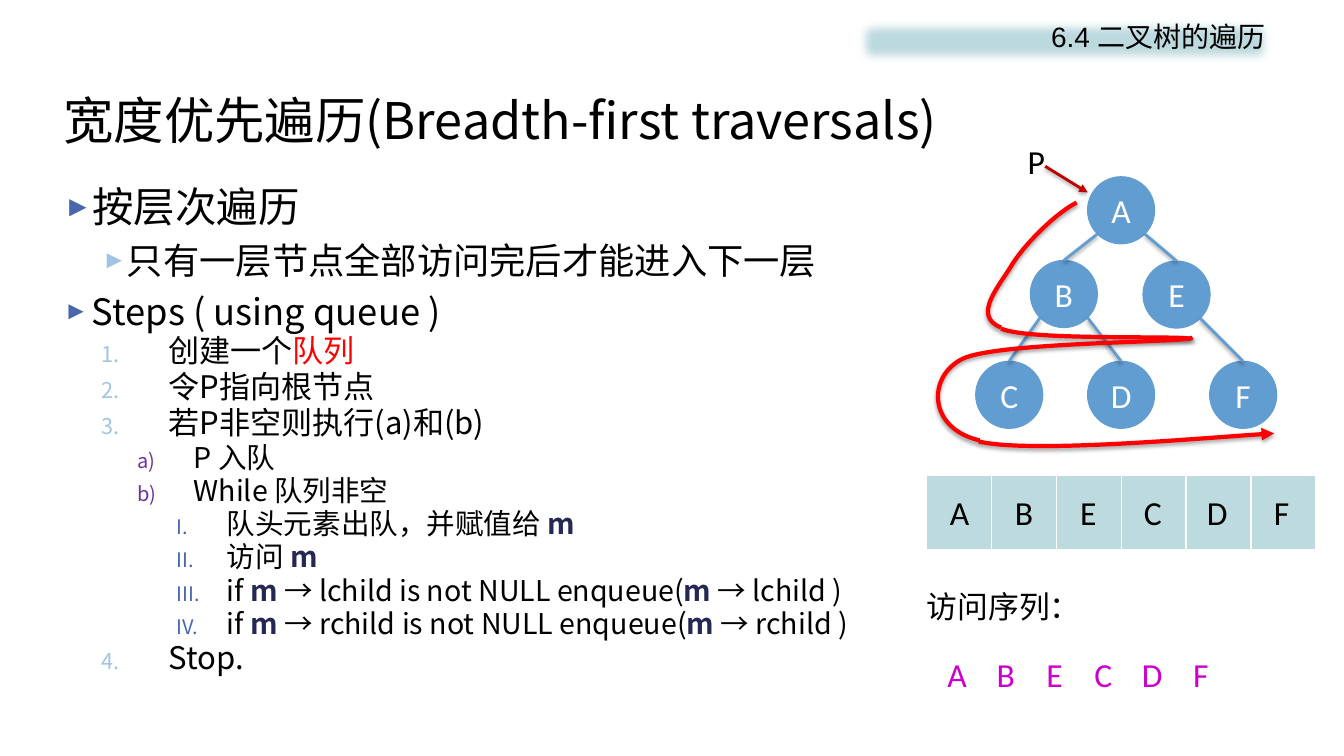
import pptx
import pptx.dml.color
import pptx.enum.shapes
import pptx.enum.text
import pptx.oxml
import pptx.oxml.ns
import pptx.util
from dataclasses import dataclass
from lxml import etree

Pt = pptx.util.Pt
qn = pptx.oxml.ns.qn
ALIGN = pptx.enum.text.PP_ALIGN
ANCHOR = pptx.enum.text.MSO_ANCHOR
OVAL = pptx.enum.shapes.MSO_SHAPE.OVAL
RECTANGLE = pptx.enum.shapes.MSO_SHAPE.RECTANGLE
STRAIGHT = pptx.enum.shapes.MSO_CONNECTOR.STRAIGHT


@dataclass(frozen=True)
class Theme:
    cjk: str = "Noto Sans CJK SC"
    latin: str = "Calibri"
    header_font: str = "Arial"
    ink: str = "000000"
    white: str = "FFFFFF"
    node: str = "629DD1"
    panel: str = "BDDADF"
    route: str = "FF0000"
    pointer: str = "C00000"
    visited: str = "CC00CC"
    variable: str = "242852"
    title_size: float = 36
    header_size: float = 20
    label_size: float = 24
    caption_size: float = 22


THEME = Theme()

# level, left margin, hanging, line spacing, size, bullet tag, bullet value, bullet colour
LEVELS = {
    "topic": (0, 20.2, 20.2, 1.0, 29.6, "buChar", "►", "4A66AC"),
    "heading": (0, 20.2, 20.2, 1.0, 25.9, "buChar", "►", "4A66AC"),
    "detail": (1, 43.9, 16.6, 1.0, 25.9, "buChar", "►", "A1C4E3"),
    "step": (1, 74.9, 48.2, 0.8, 22.2, "buAutoNum", "arabicPeriod", "A1C4E3"),
    "substep": (2, 92.9, 40.3, 0.8, 20.4, "buAutoNum", "alphaLcParenR", "7030A0"),
    "action": (3, 116.6, 36, 0.8, 20.4, "buAutoNum", "romanUcPeriod", "4A66AC"),
}
M = ("m", {"color": THEME.variable, "bold": True})
OUTLINE = [
    ("topic", ["按层次遍历"]),
    ("detail", ["只有一层节点全部访问完后才能进入下一层"]),
    ("heading", ["Steps ( using queue )"]),
    ("step", ["创建一个", ("队列", {"color": THEME.route})]),
    ("step", ["令P指向根节点"]),
    ("step", ["若P非空则执行(a)和(b)"]),
    ("substep", ["P 入队"]),
    ("substep", ["While 队列非空"]),
    ("action", ["队头元素出队，并赋值给 ", M]),
    ("action", ["访问 ", M]),
    ("action", ["if ", M, " → lchild is not NULL enqueue(", M, " → lchild )"]),
    ("action", ["if ", M, " → rchild is not NULL enqueue(", M, " → rchild )"]),
    ("step", ["Stop."]),
]

DIAMETER = 48
NODES = {"A": (800.8, 150.2), "F": (888, 282), "E": (840.4, 210.4),
         "D": (800.8, 282), "C": (720.9, 282), "B": (759.9, 210)}
EDGES = ["AB", "BC", "BD", "AE", "EF"]
VISIT_ORDER = "ABECDF"
# each stroke: start point, then two controls and an end for every cubic segment
ROUTE = [
    [(769, 144.7), (753.8, 152.6), (733, 173.5), (723.6, 187.9),
     (715, 203), (693.4, 225.4), (715, 234)],
    [(715, 234.7), (735.8, 244.1), (856.1, 239), (851, 242.6)],
    [(851.8, 241.2), (847.4, 244.8), (712.8, 244.1), (687.6, 256.3),
     (662.4, 268.6), (662.4, 306), (699.8, 314.6)],
    [(699.1, 315.4), (735.8, 324), (871.2, 311.8), (910.1, 309.6)],
]


def rgb(value):
    return pptx.dml.color.RGBColor.from_string(value)


def apply(target, values):
    for name, value in values.items():
        setattr(target, name, value)


def add_run(paragraph, text, size, face, color=THEME.ink, bold=False):
    run = paragraph.add_run()
    run.text = text
    apply(run.font, {"size": Pt(size), "name": face, "bold": bold})
    run.font.color.rgb = rgb(color)
    east_asian = THEME.latin if face == THEME.latin else THEME.cjk
    latin = run._r.rPr.find(qn("a:latin"))
    latin.addnext(latin.makeelement(qn("a:ea"), {"typeface": east_asian}))


def write(shape, text, size, face, color=THEME.ink, align=ALIGN.CENTER, **frame):
    apply(shape.text_frame, {"word_wrap": True, **frame})
    paragraph = shape.text_frame.paragraphs[0]
    paragraph.alignment = align
    add_run(paragraph, text, size, face, color)


def add_label(slide, text, box, size=THEME.label_size, face=THEME.latin, **options):
    label = slide.shapes.add_textbox(*map(Pt, box))
    write(label, text, size, face, **options)


def add_effect(shape, effect_xml=""):
    """Replace theme effects; call after fill and line are set."""
    namespace = pptx.oxml.ns.nsdecls("a")
    shape._element.spPr.append(pptx.oxml.parse_xml(
        f"<a:effectLst {namespace}>{effect_xml}</a:effectLst>"))


def style_stroke(stroke, color, width, arrow=False):
    stroke.line.color.rgb = rgb(color)
    stroke.line.width = Pt(width)
    if arrow:
        etree.SubElement(stroke.line._get_or_add_ln(), qn("a:tailEnd"), type="triangle")
    add_effect(stroke, f'<a:outerShdw blurRad="{Pt(3.1)}" dist="{Pt(1.6)}" dir="5400000" '
                       'rotWithShape="0"><a:srgbClr val="000000"><a:alpha val="38000"/>'
                       '</a:srgbClr></a:outerShdw>')


def add_line(slide, start, end, color, arrow=False):
    line = slide.shapes.add_connector(STRAIGHT, *map(Pt, (*start, *end)))
    style_stroke(line, color, 2, arrow)


def add_header(slide):
    header = slide.shapes.add_shape(RECTANGLE, Pt(609.1), Pt(10.1), Pt(302.4), Pt(38.9))
    header.fill.solid()
    header.fill.fore_color.rgb = rgb(THEME.panel)
    header.line.fill.background()
    add_effect(header, f'<a:softEdge rad="{Pt(8)}"/>')
    write(header, "6.4 二叉树的遍历", THEME.header_size, THEME.header_font,
          align=ALIGN.RIGHT, vertical_anchor=ANCHOR.TOP)


def add_outline(slide):
    frame = slide.shapes.add_textbox(Pt(38.4), Pt(126), Pt(619.2), Pt(383)).text_frame
    frame.word_wrap = True
    for index, (kind, runs) in enumerate(OUTLINE):
        level, margin, hanging, spacing, size, tag, mark, color = LEVELS[kind]
        paragraph = frame.add_paragraph() if index else frame.paragraphs[0]
        apply(paragraph, {"level": level, "line_spacing": spacing,
                          "space_before": Pt(size * 0.2 if index else 0)})
        properties = paragraph._p.get_or_add_pPr()
        properties.set("marL", str(Pt(margin)))
        properties.set("indent", str(-Pt(hanging)))
        bullet_color = etree.SubElement(properties, qn("a:buClr"))
        etree.SubElement(bullet_color, qn("a:srgbClr"), val=color)
        etree.SubElement(properties, qn("a:buSzPct"), val="70000")
        etree.SubElement(properties, qn("a:buFont"), typeface=THEME.header_font)
        key = "char" if tag == "buChar" else "type"
        etree.SubElement(properties, qn(f"a:{tag}"), {key: mark})
        for run in runs:
            text, emphasis = (run, {}) if isinstance(run, str) else run
            add_run(paragraph, text, size, THEME.cjk, **emphasis)


def add_tree(slide):
    radius = DIAMETER / 2
    for letter, (x, y) in NODES.items():
        node = slide.shapes.add_shape(OVAL, *map(Pt, (x - radius, y - radius, DIAMETER, DIAMETER)))
        node.fill.solid()
        node.fill.fore_color.rgb = rgb(THEME.node)
        node.line.color.rgb = rgb(THEME.node)
        node.line.width = Pt(0.75)
        add_effect(node)
        write(node, letter, THEME.label_size, THEME.latin, THEME.white,
              word_wrap=False, vertical_anchor=ANCHOR.MIDDLE)
    for parent, child in EDGES:
        (x, y), (child_x, child_y) = NODES[parent], NODES[child]
        reach = radius * 0.71
        side = reach if child_x > x else -reach
        add_line(slide, (x + side, y + reach), (child_x, child_y - radius), THEME.node)
    add_line(slide, (746.6, 118.8), (776.9, 137.5), THEME.pointer, arrow=True)
    add_label(slide, "P", (726.5, 97.2, 27.4, 36), word_wrap=False,
              vertical_anchor=ANCHOR.MIDDLE)


def add_curve(slide, points):
    """Draw an open outline whose points after the first come in cubic triples."""
    start, *rest = [tuple(map(Pt, point)) for point in points]
    builder = slide.shapes.build_freeform(*start)
    builder.add_line_segments(rest, close=False)
    curve = builder.convert_to_shape()
    outline = curve._element.spPr.find(".//" + qn("a:path"))
    segments = outline.findall(qn("a:lnTo"))
    for first in range(0, len(segments), 3):
        cubic = etree.SubElement(outline, qn("a:cubicBezTo"))
        for segment in segments[first:first + 3]:
            cubic.append(segment[0])
            outline.remove(segment)
    curve.fill.background()
    return curve


def add_queue(slide):
    table = slide.shapes.add_table(1, len(VISIT_ORDER), Pt(661.7), Pt(339.8),
                                   Pt(278.4), Pt(54)).table
    for cell in table.iter_cells():
        for side, width in {"L": 1, "R": 1, "T": 1, "B": 3}.items():
            border = etree.SubElement(cell._tc.get_or_add_tcPr(), qn(f"a:ln{side}"), w=str(Pt(width)))
            fill = etree.SubElement(border, qn("a:solidFill"))
            etree.SubElement(fill, qn("a:srgbClr"), val=THEME.white)
        cell.fill.solid()
        cell.fill.fore_color.rgb = rgb(THEME.panel)


def add_letters(slide, left, top, pitch, color):
    for index, letter in enumerate(VISIT_ORDER):
        add_label(slide, letter, (left + index * pitch, top, 43.2, 36), color=color)


def main():
    deck = pptx.Presentation()
    apply(deck, {"slide_width": Pt(960), "slide_height": Pt(540)})
    slide = deck.slides.add_slide(deck.slide_layouts[6])
    add_label(slide, "宽度优先遍历(Breadth-first traversals)", (38.2, 58.2, 864, 54),
              THEME.title_size, THEME.cjk, align=ALIGN.LEFT, vertical_anchor=ANCHOR.MIDDLE)
    add_outline(slide)
    add_header(slide)
    add_tree(slide)
    add_queue(slide)
    add_letters(slide, 663.8, 348, 46, THEME.ink)
    add_label(slide, "访问序列：", (655, 416.2, 110.2, 33.8), THEME.caption_size,
              THEME.cjk, align=ALIGN.LEFT, word_wrap=False)
    add_letters(slide, 662, 463.4, 34.85, THEME.visited)
    for points in ROUTE:
        style_stroke(add_curve(slide, points), THEME.route, 3, arrow=points is ROUTE[-1])
    deck.save("out.pptx")


if __name__ == "__main__":
    main()
